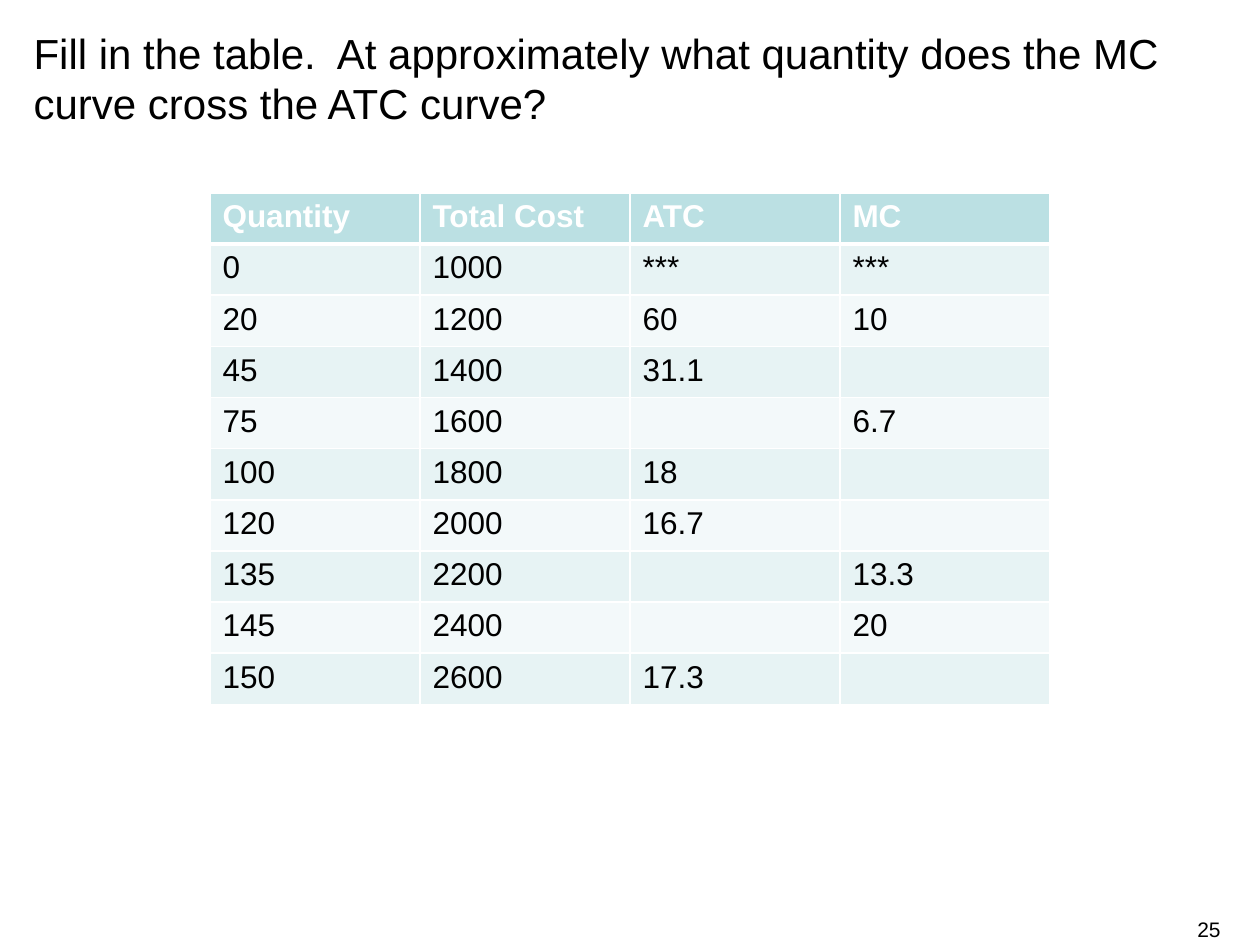
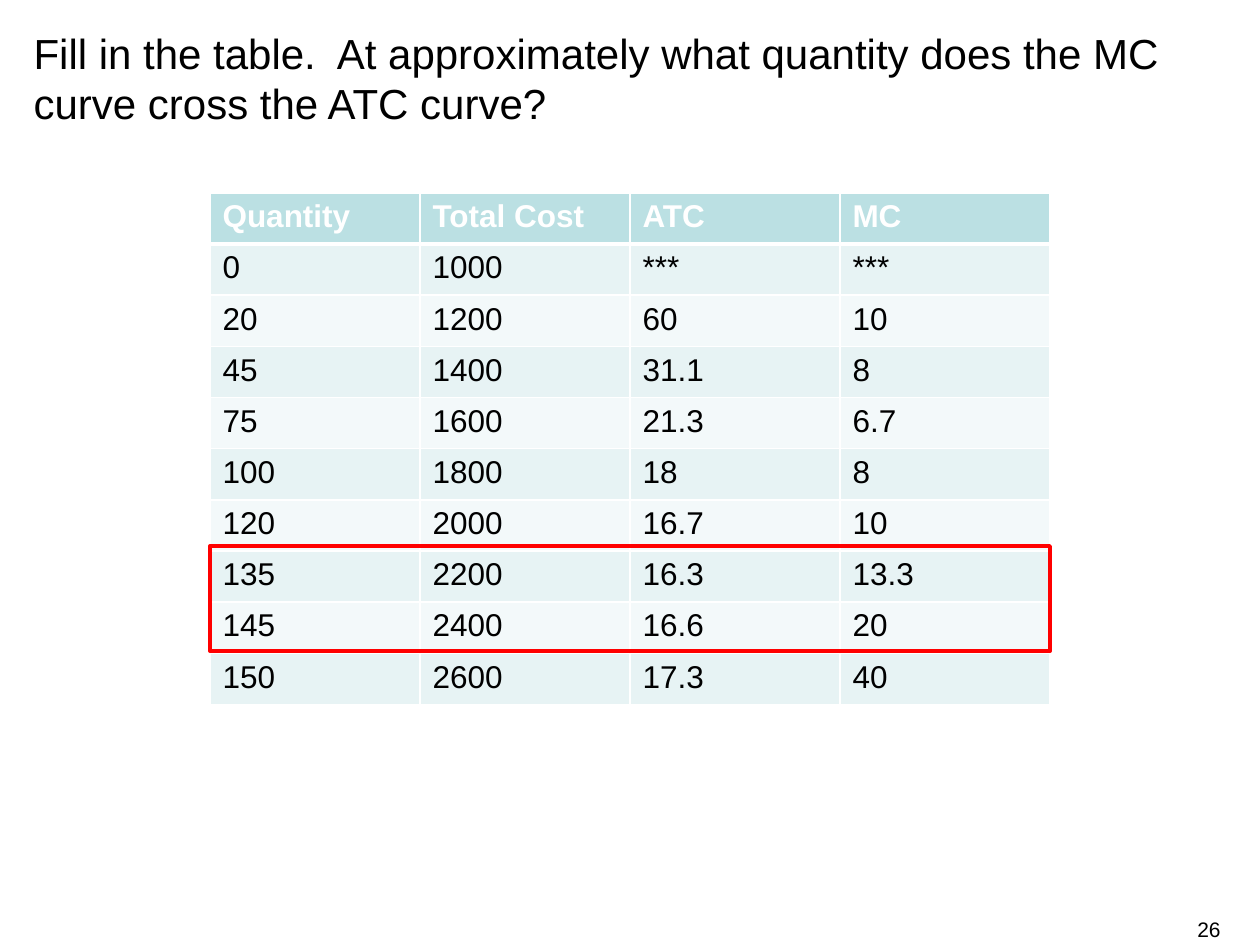
import pptx
import pptx.dml.color
import pptx.enum.shapes
import pptx.enum.text
import pptx.oxml.ns
import pptx.util
from lxml import etree

Pt = pptx.util.Pt
FONT = "Arial"
BLACK, WHITE, RED = "000000", "FFFFFF", "FF0000"
HEADER_FILL = "BBE0E3"
ROW_FILLS = ("E7F3F4", "F3F9FA")

QUESTION = ("Fill in the table.  At approximately what quantity "
            "does the MC curve cross the ATC curve?")
COSTS = [
    ("Quantity", "Total Cost", "ATC", "MC"),
    ("0", "1000", "***", "***"),
    ("20", "1200", "60", "10"),
    ("45", "1400", "31.1", "8"),
    ("75", "1600", "21.3", "6.7"),
    ("100", "1800", "18", "8"),
    ("120", "2000", "16.7", "10"),
    ("135", "2200", "16.3", "13.3"),
    ("145", "2400", "16.6", "20"),
    ("150", "2600", "17.3", "40"),
]
# Cells (row, column) that the student has to work out
EXERCISE_GAPS = {(3, 3), (4, 2), (5, 3), (6, 3), (7, 2), (8, 2), (9, 3)}

TABLE_LEFT, TABLE_TOP = 120, 110.25
COLUMN_WIDTH, ROW_HEIGHT = 120, 29.25
TABLE_WIDTH = COLUMN_WIDTH * len(COSTS[0])


def color(hex_code):
    return pptx.dml.color.RGBColor.from_string(hex_code)


def style_font(para, size, hex_code=BLACK, bold=False):
    para.font.name = FONT
    para.font.size = Pt(size)
    para.font.bold = bold
    para.font.color.rgb = color(hex_code)


def fill_shape(shape, hex_code):
    shape.fill.solid()
    shape.fill.fore_color.rgb = color(hex_code)


def add_question(page):
    page.shapes.title.element.getparent().remove(page.shapes.title.element)
    body = page.placeholders[1]
    body.left, body.top, body.width, body.height = Pt(12), Pt(12), Pt(696), Pt(498)
    body.text_frame.text = QUESTION
    body.text_frame.auto_size = pptx.enum.text.MSO_AUTO_SIZE.NONE
    para = body.text_frame.paragraphs[0]
    para.space_before = Pt(6)
    style_font(para, 24)
    # No bullet and no hanging indent
    properties = para._p.get_or_add_pPr()
    properties.set("marL", "0")
    properties.set("indent", "0")
    bullet = etree.Element(pptx.oxml.ns.qn("a:buNone"))
    properties.find(pptx.oxml.ns.qn("a:defRPr")).addprevious(bullet)


def add_page_number(page, number):
    box = page.shapes.add_textbox(Pt(660), Pt(522), Pt(60), Pt(18))
    fill_shape(box, WHITE)
    frame = box.text_frame
    frame.word_wrap = True
    frame.margin_top = frame.margin_bottom = 0
    frame.margin_right = Pt(22.5)
    frame.vertical_anchor = pptx.enum.text.MSO_ANCHOR.MIDDLE
    frame.text = str(number)
    para = frame.paragraphs[0]
    para.alignment = pptx.enum.text.PP_ALIGN.RIGHT
    style_font(para, 12)


def set_borders(cell, top, bottom):
    properties = cell._tc.get_or_add_tcPr()
    for side, width in (("L", 1), ("R", 1), ("T", top), ("B", bottom)):
        line = etree.SubElement(properties, pptx.oxml.ns.qn(f"a:ln{side}"), w=str(Pt(width)))
        fill = etree.SubElement(line, pptx.oxml.ns.qn("a:solidFill"))
        etree.SubElement(fill, pptx.oxml.ns.qn("a:srgbClr"), val=WHITE)


def add_cost_table(page, gaps):
    table = page.shapes.add_table(
        len(COSTS), len(COSTS[0]), Pt(TABLE_LEFT), Pt(TABLE_TOP),
        Pt(TABLE_WIDTH), Pt(ROW_HEIGHT * len(COSTS))).table
    for row, values in enumerate(COSTS):
        header = row == 0
        for column, value in enumerate(values):
            cell = table.cell(row, column)
            cell.text = "" if (row, column) in gaps else value
            style_font(cell.text_frame.paragraphs[0], 18,
                       WHITE if header else BLACK, header)
            set_borders(cell, top=3 if row == 1 else 1, bottom=3 if header else 1)
            fill_shape(cell, HEADER_FILL if header else ROW_FILLS[(row - 1) % 2])


def add_crossing_frame(page):
    frame = page.shapes.add_shape(
        pptx.enum.shapes.MSO_SHAPE.RECTANGLE,
        Pt(TABLE_LEFT), Pt(312), Pt(TABLE_WIDTH), Pt(60))
    frame.shadow.inherit = False
    frame.fill.background()
    frame.line.color.rgb = color(RED)
    frame.line.width = Pt(2.25)


def add_cost_page(deck, number, gaps=()):
    page = deck.slides.add_slide(deck.slide_layouts[1])
    add_page_number(page, number)
    add_question(page)
    add_cost_table(page, gaps)
    return page


def main():
    deck = pptx.Presentation()
    deck.slide_width, deck.slide_height = Pt(720), Pt(540)

    # Exercise with gaps
    add_cost_page(deck, 25, EXERCISE_GAPS)

    # Solution, with the rows around the crossing framed
    solution = add_cost_page(deck, 26)
    add_crossing_frame(solution)

    deck.save("out.pptx")


if __name__ == "__main__":
    main()
